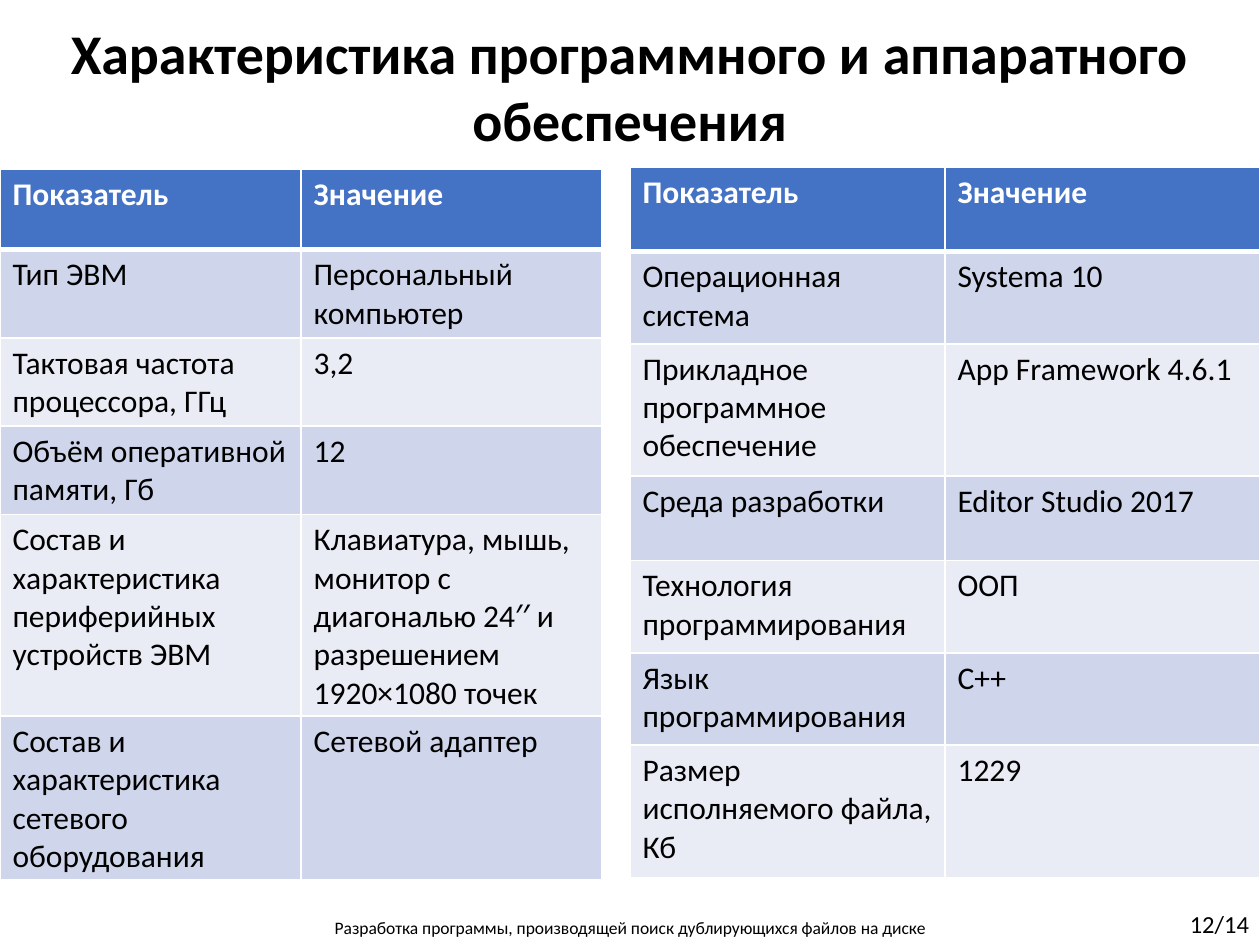
from lxml import etree
from pptx import Presentation
from pptx import util as u
from pptx.dml.color import RGBColor
from pptx.enum import text
from pptx.oxml import ns

COLORS = {
    "black": "000000",
    "white": "FFFFFF",
    "header": "4472C4",
    "odd": "CFD5EA",
    "even": "E9EBF5",
}
ALIGN = text.PP_ALIGN


def write(frame, words, size=18, color="black", bold=False, align=None):
    """Put one formatted paragraph into a text frame."""
    frame.word_wrap = True
    para = frame.paragraphs[0]
    para.alignment = align
    span = para.add_run()
    span.text = words
    span.font.name = "Calibri"
    span.font.size = u.Pt(size)
    span.font.bold = bold
    span.font.color.rgb = RGBColor.from_string(COLORS[color])


class SlideBuilder:
    """Holds the border style and the current slide."""

    border_color = COLORS["white"]
    border_width = 1
    header_rule = 3

    def __init__(self, slide):
        self.slide = slide

    def label(self, words, left, top, width, height, **style):
        box = self.slide.shapes.add_textbox(
            u.Cm(left), u.Cm(top), u.Cm(width), u.Cm(height))
        write(box.text_frame, words, **style)
        box.text_frame.auto_size = text.MSO_AUTO_SIZE.SHAPE_TO_FIT_TEXT

    def borders(self, cell, top, bottom):
        """Borders come before the fill in the cell properties."""
        properties = cell._tc.get_or_add_tcPr()
        widths = {"lnL": self.border_width, "lnR": self.border_width,
                  "lnT": top, "lnB": bottom}
        for place, (side, width) in enumerate(widths.items()):
            line = etree.Element(ns.qn(f"a:{side}"), w=str(u.Pt(width)))
            fill = etree.SubElement(line, ns.qn("a:solidFill"))
            etree.SubElement(fill, ns.qn("a:srgbClr"), val=self.border_color)
            properties.insert(place, line)

    def table(self, rows, left, top, width, height, row_heights):
        table = self.slide.shapes.add_table(
            len(rows), 2, u.Cm(left), u.Cm(top), u.Cm(width), u.Cm(height)).table
        for column in table.columns:
            column.width = u.Cm(width / 2)
        for index, (row, row_height) in enumerate(zip(rows, row_heights)):
            table.rows[index].height = u.Cm(row_height)
            header = index == 0
            band = "header" if header else "odd" if index % 2 else "even"
            upper = self.header_rule if index == 1 else self.border_width
            lower = self.header_rule if header else self.border_width
            for cell, words in zip(table.rows[index].cells, row):
                cell.fill.solid()
                cell.fill.fore_color.rgb = RGBColor.from_string(COLORS[band])
                write(cell.text_frame, words, bold=header,
                      color="white" if header else "black")
                self.borders(cell, upper, lower)


HEADINGS = ("Показатель", "Значение")
HARDWARE = [
    HEADINGS,
    ("Тип ЭВМ", "Персональный компьютер"),
    ("Тактовая частота процессора, ГГц", "3,2"),
    ("Объём оперативной памяти, Гб", "12"),
    ("Состав и характеристика периферийных устройств ЭВМ",
     "Клавиатура, мышь, монитор с диагональю 24′′ и разрешением "
     "1920×1080 точек"),
    ("Состав и характеристика сетевого оборудования", "Сетевой адаптер"),
]
SOFTWARE = [
    HEADINGS,
    ("Операционная система", "Systema 10"),
    ("Прикладное программное обеспечение", "App Framework 4.6.1"),
    ("Среда разработки", "Editor Studio 2017"),
    ("Технология программирования", "ООП"),
    ("Язык программирования", "C++"),
    ("Размер исполняемого файла, Кб", "1229"),
]


def main():
    deck = Presentation()
    deck.slide_width, deck.slide_height = u.Cm(25.4), u.Cm(19.05)
    page = SlideBuilder(deck.slides.add_slide(deck.slide_layouts[6]))

    # Title
    page.label("Характеристика программного и аппаратного обеспечения",
               0, 0.24, 25.4, 3, size=32, bold=True, align=ALIGN.CENTER)

    # Footer and page number
    page.label("Разработка программы, производящей поиск дублирующихся "
               "файлов на диске",
               0, 18.37, 25.4, 0.68, size=10, align=ALIGN.CENTER)
    page.label("12/14", 23.68, 18.2, 1.75, 0.86, size=14, align=ALIGN.RIGHT)

    # Hardware on the left, software on the right
    page.table(HARDWARE, 0, 3.41, 12.14, 14.33,
               [1.62, 1.62, 1.62, 1.62, 3.58, 1.62])
    page.table(SOFTWARE, 12.7, 3.37, 12.7, 14.33,
               [1.7, 1.86, 2.67, 1.7, 1.86, 1.86, 2.67])

    deck.save("out.pptx")


if __name__ == "__main__":
    main()
